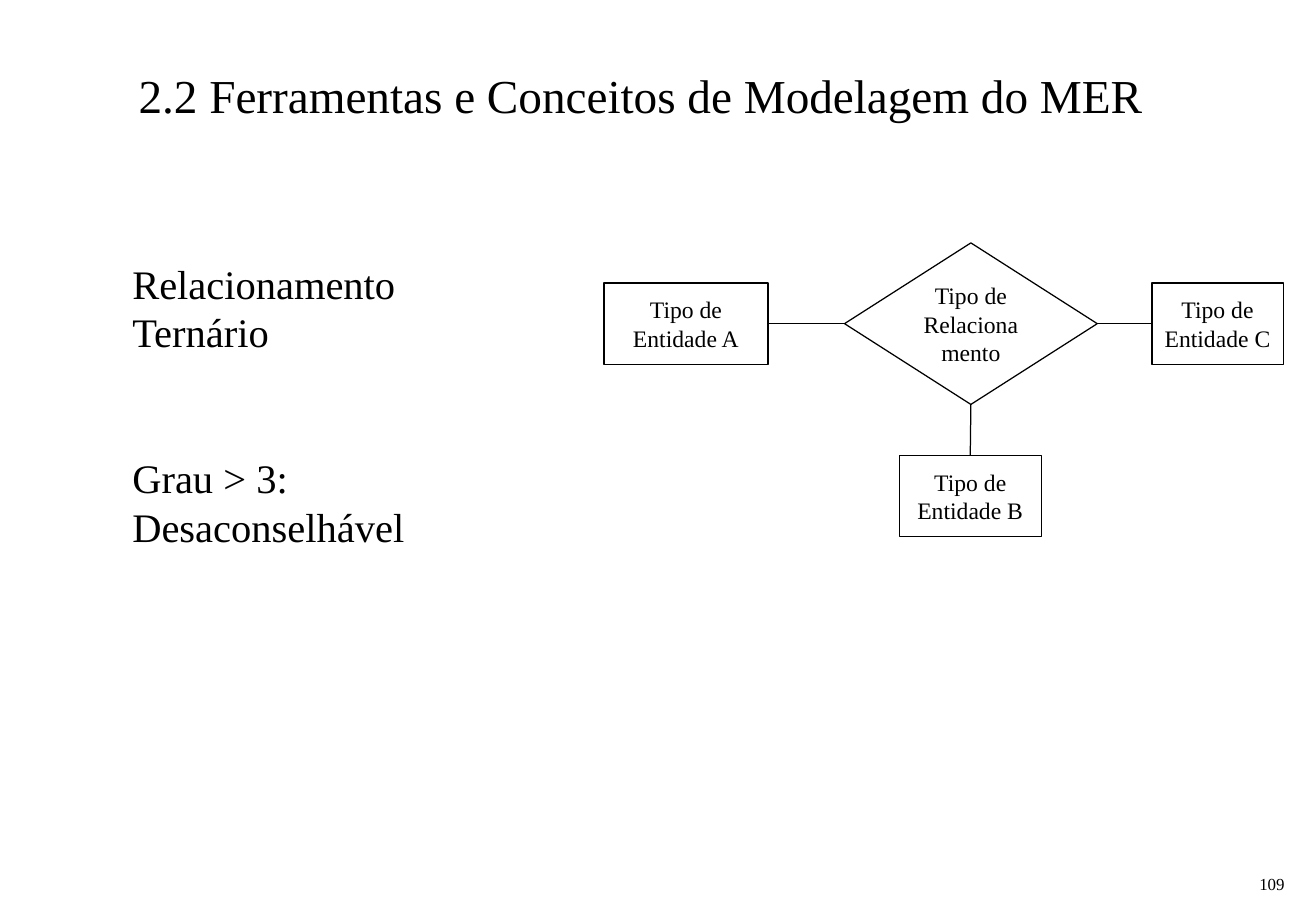
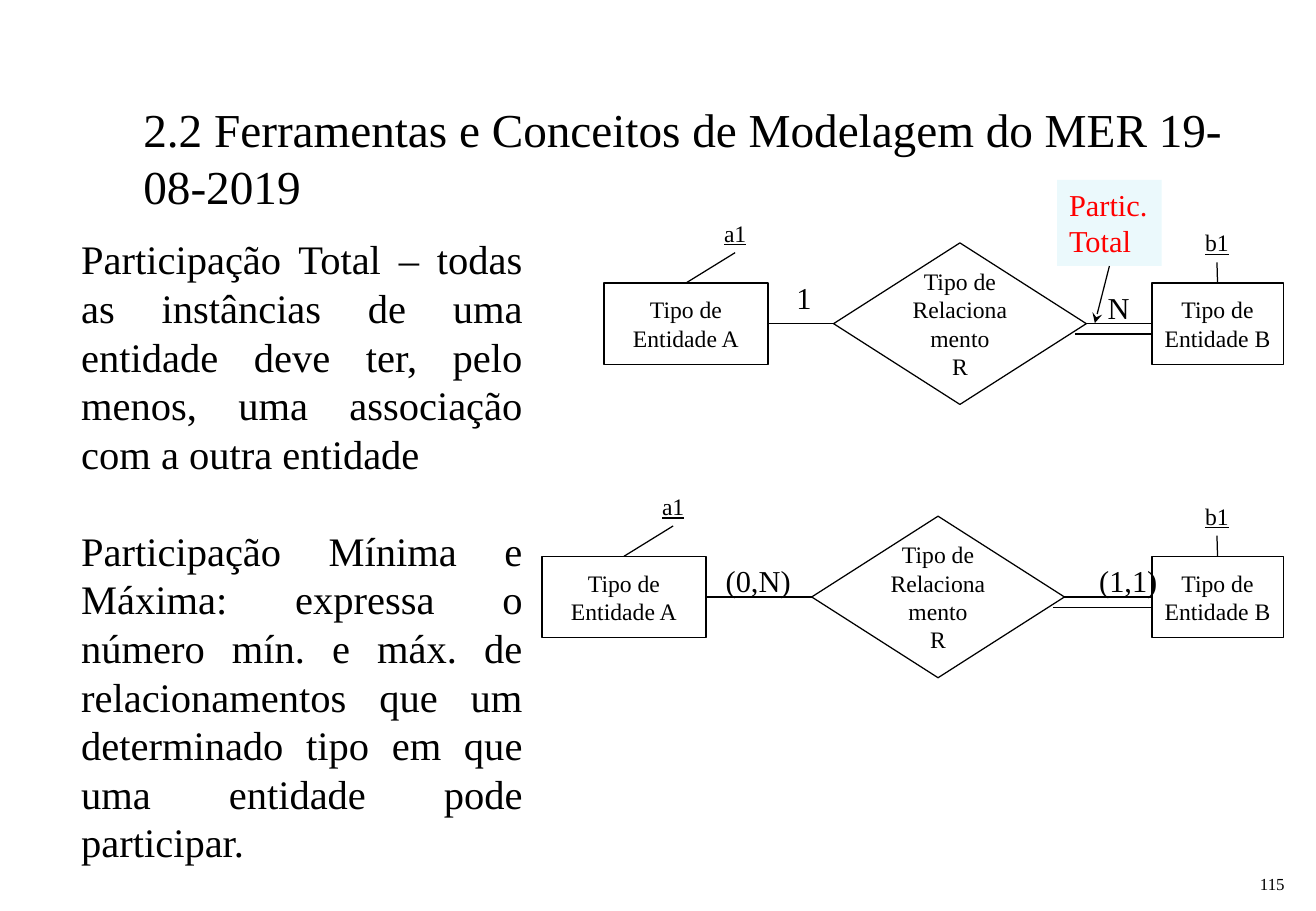
import pptx
import pptx.util
import pptx.dml.color
import pptx.enum.shapes
import pptx.enum.text
import pptx.oxml
import pptx.oxml.ns
from dataclasses import dataclass

Inches = pptx.util.Inches
Pt = pptx.util.Pt
SHAPES = pptx.enum.shapes.MSO_SHAPE
ALIGN = pptx.enum.text.PP_ALIGN
ANCHOR = pptx.enum.text.MSO_ANCHOR
TOP, LEFT, BOTTOM, RIGHT = range(4)


@dataclass
class Theme:
    font: str = "Times New Roman"
    ink: str = "000000"
    paper: str = "FFFFFF"
    accent: str = "FF0000"
    callout: str = "EBF9FC"
    title: int = 28
    body: int = 24
    mark: int = 18
    node: int = 14
    number: int = 10
    line: float = 0.75
    body_line: float = 28.8


theme = Theme()


def write(box, lines, size, align=ALIGN.CENTER, anchor=ANCHOR.MIDDLE, wrap=True,
          color=theme.ink, underline=None, gap=0):
    frame = box.text_frame
    frame.auto_size = pptx.enum.text.MSO_AUTO_SIZE.NONE
    frame.word_wrap = wrap
    frame.vertical_anchor = anchor
    for index, line in enumerate(lines):
        para = frame.add_paragraph() if index else frame.paragraphs[0]
        para.alignment = align
        para.space_before = Pt(gap if index else 0)
        span = para.add_run()
        span.text = line
        span.font.name = theme.font
        span.font.size = Pt(size)
        span.font.underline = underline
        span.font.color.rgb = pptx.dml.color.RGBColor.from_string(color)
    return box


def draw_line(page, start=(0, 0), end=(0, 0)):
    connector = page.shapes.add_connector(
        pptx.enum.shapes.MSO_CONNECTOR.STRAIGHT, *map(Inches, start + end))
    connector.line.width = Pt(theme.line)
    connector.line.color.rgb = pptx.dml.color.RGBColor.from_string(theme.ink)
    properties = connector.element.spPr
    properties.append(properties.makeelement(pptx.oxml.ns.qn("a:effectLst"), {}))
    return connector


deck = pptx.Presentation()
deck.slide_width, deck.slide_height = Inches(10.83), Inches(7.5)

heading = "2.2 Ferramentas e Conceitos de Modelagem do MER"
page_specs = [
    (heading, (1.04, 0.39, 9.21, 0.78), "109",
     ["Relacionamento Ternário", "Grau > 3: Desaconselhável"],
     (0.99, 2.08, 3.52, 4.5), ALIGN.LEFT, 2),
    (heading + " 19-08-2019", (1.08, 0.67, 9.21, 1.25), "115",
     ["Participação Total – todas as instâncias de uma entidade deve ter, pelo menos, "
      "uma associação com a outra entidade",
      "Participação Mínima e Máxima: expressa o número mín. e máx. de relacionamentos "
      "que um determinado tipo em que uma entidade pode participar."],
     (0.57, 1.88, 3.83, 5.39), ALIGN.JUSTIFY, 1),
]
pages = []
for title, title_place, number, body, body_place, body_align, gap_lines in page_specs:
    page = deck.slides.add_slide(deck.slide_layouts[5])
    title_box = page.shapes.title
    title_box.left, title_box.top, title_box.width, title_box.height = map(Inches, title_place)
    write(title_box, [title], theme.title, ALIGN.LEFT)
    body_box = page.shapes.add_textbox(*map(Inches, body_place))
    write(body_box, body, theme.body, body_align, ANCHOR.TOP,
          gap=gap_lines * theme.body_line)
    number_box = page.shapes.add_textbox(*map(Inches, (10.24, 7.01, 0.43, 0.4)))
    write(number_box, [number], theme.number, ALIGN.RIGHT, ANCHOR.BOTTOM, wrap=False)
    pages.append(page)
ternary, participation = pages

relation = ["Tipo de", "Relacionamento"]
diamond, process = SHAPES.FLOWCHART_DECISION, SHAPES.FLOWCHART_PROCESS
node_specs = [
    ("A", ternary, SHAPES.RECTANGLE, (4.97, 2.33, 1.35, 0.67), ["Tipo de", "Entidade A"]),
    ("R", ternary, diamond, (6.95, 2, 2.08, 1.33), relation),
    ("C", ternary, process, (9.48, 2.33, 1.08, 0.67), ["Tipo de", "Entidade C"]),
    ("B", ternary, process, (7.4, 3.75, 1.17, 0.67), ["Tipo de", "Entidade B"]),
]
links = [("R", LEFT, "A", RIGHT), ("R", RIGHT, "C", LEFT), ("B", TOP, "R", BOTTOM)]
label_specs = []

binary_rows = [
    ("total", 2, 4.97, 6.86, ("1", 6.44, 2.25, 0.35), ("N", 9, 2.33, 0.41)),
    ("range", 4.25, 4.46, 6.68, ("(0,N)", 5.87, 4.58, 0.74), ("(1,1)", 8.94, 4.58, 0.69)),
]
for row, top, entity_left, diamond_left, *marks in binary_rows:
    first, relationship, second = row + "A", row + "R", row + "B"
    node_specs += [
        (first, participation, SHAPES.RECTANGLE, (entity_left, top + 0.33, 1.35, 0.67),
         ["Tipo de", "Entidade A"]),
        (relationship, participation, diamond, (diamond_left, top, 2.08, 1.33),
         relation + ["R"]),
        (second, participation, process, (9.48, top + 0.33, 1.08, 0.67),
         ["Tipo de", "Entidade B"]),
    ]
    label_specs += [
        (row + "a1", "a1", (entity_left + 0.87, top - 0.25, 0.42, 0.33), theme.node, True),
        (row + "b1", "b1", (9.8, top - 0.17, 0.43, 0.33), theme.node, True),
    ]
    for text, left, mark_top, width in marks:
        label_specs.append((row + text, text, (left, mark_top, width, 0.4), theme.mark, None))
    links += [
        (relationship, LEFT, first, RIGHT), (relationship, RIGHT, second, LEFT),
        (first, TOP, row + "a1", BOTTOM), (second, TOP, row + "b1", BOTTOM),
    ]
    draw_line(participation, (diamond_left + 1.99, top + 0.75), (9.48, top + 0.75))

boxes = {}
for name, page, kind, place, lines in node_specs:
    node = page.shapes.add_shape(kind, *map(Inches, place))
    node.shadow.inherit = False
    node.fill.solid()
    node.fill.fore_color.rgb = pptx.dml.color.RGBColor.from_string(theme.paper)
    node.line.color.rgb = pptx.dml.color.RGBColor.from_string(theme.ink)
    node.line.width = Pt(theme.line)
    boxes[name] = write(node, lines, theme.node)

for name, text, place, size, underline in label_specs:
    label = participation.shapes.add_textbox(*map(Inches, place))
    boxes[name] = write(label, [text], size, wrap=False, underline=underline)

for start, start_site, end, end_site in links:
    page = ternary if start in ("R", "B") else participation
    connector = draw_line(page)
    connector.begin_connect(boxes[start], start_site)
    connector.end_connect(boxes[end], end_site)

callout = participation.shapes.add_shape(
    SHAPES.RECTANGLE, *map(Inches, (8.7, 1.48, 0.86, 0.71)))
callout.shadow.inherit = False
callout.fill.solid()
callout.fill.fore_color.rgb = pptx.dml.color.RGBColor.from_string(theme.callout)
callout.line.fill.background()
write(callout, ["Partic. Total"], theme.mark, ALIGN.LEFT, ANCHOR.TOP, color=theme.accent)

pointer = draw_line(participation, (9.13, 2.19), (9.01, 2.66))
pointer.begin_connect(callout, BOTTOM)
outline = pointer.line._get_or_add_ln()
outline.append(outline.makeelement(pptx.oxml.ns.qn("a:tailEnd"), {"type": "stealth"}))

deck.save("out.pptx")
